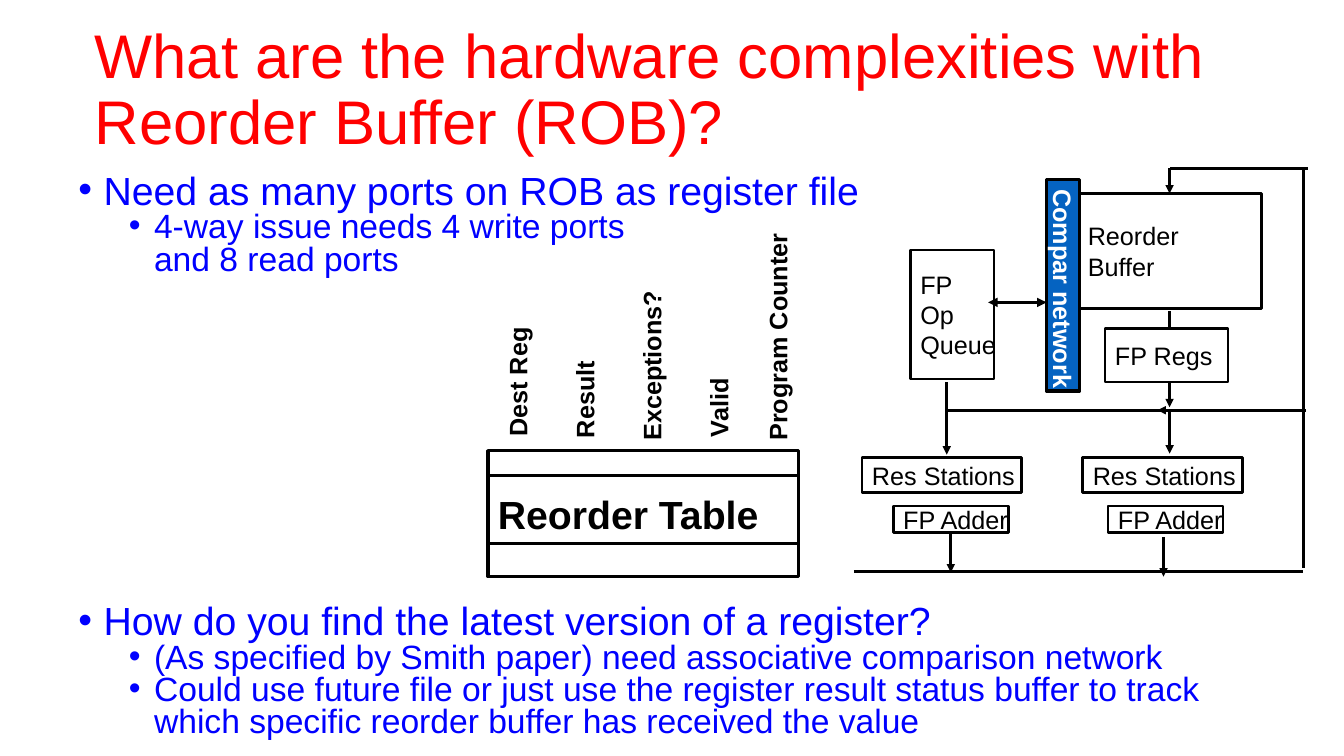
from lxml import etree
from pptx import Presentation
from pptx import util as u
from pptx.dml.color import RGBColor
from pptx.enum import shapes, text
from pptx.oxml import ns

PX = 9144
BLACK, WHITE, RED, BLUE, TEAL = "000000", "FFFFFF", "FF0000", "0000FF", "0563C1"

prs = Presentation()
prs.slide_width, prs.slide_height = 1333 * PX, 750 * PX
s = prs.slides.add_slide(prs.slide_layouts[6])


def box(x, y, w, h, content, size=18, color=BLACK, bold=False, fill=None, weight=0, wrap=False):
    frame = [v * PX for v in (x, y, w, h)]
    if weight:
        sp = s.shapes.add_shape(shapes.MSO_SHAPE.RECTANGLE, *frame)
        sp.shadow.inherit = False
        sp.line.color.rgb = RGBColor.from_string(BLACK)
        sp.line.width = u.Pt(weight)
        if fill:
            sp.fill.solid()
            sp.fill.fore_color.rgb = RGBColor.from_string(fill)
        else:
            sp.fill.background()
    else:
        sp = s.shapes.add_textbox(*frame)
    tf = sp.text_frame
    tf.text = content
    tf.word_wrap = wrap
    tf.vertical_anchor = text.MSO_ANCHOR.MIDDLE
    for p in tf.paragraphs:
        p.alignment = text.PP_ALIGN.LEFT
        for r in p.runs:
            r.font.name, r.font.size, r.font.bold = "Arial", u.Pt(size), bold
            r.font.color.rgb = RGBColor.from_string(color)
    return sp


def line(x1, y1, x2, y2, weight=2, ends=()):
    c = s.shapes.add_connector(shapes.MSO_CONNECTOR.STRAIGHT, x1 * PX, y1 * PX, x2 * PX, y2 * PX)
    c.line.color.rgb = RGBColor.from_string(BLACK)
    c.line.width = u.Pt(weight)
    for end in ends:
        etree.SubElement(c.line._get_or_add_ln(), ns.qn("a:" + end), type="triangle")
    etree.SubElement(c._element.spPr, ns.qn("a:effectLst"))
    return c


title = box(84, 40, 1159, 102, "What are the hardware complexities with Reorder Buffer (ROB)?",
            44, RED, wrap=True)
title.text_frame.paragraphs[0].line_spacing = 0.9

bullets = [
    (169, 120, ["Need as many ports on ROB as register file",
                "4-way issue needs 4 write ports\vand 8 read ports"]),
    (596, 154, ["How do you find the latest version of a register?",
                "(As specified by Smith paper) need associative comparison network",
                "Could use future file or just use the register result status buffer to track "
                "which specific reorder buffer has received the value"]),
]
for y, h, items in bullets:
    tf = box(68, y, 1213, h, "\n".join(items), 24, BLUE, wrap=True).text_frame
    tf.vertical_anchor = text.MSO_ANCHOR.TOP
    for i, p in enumerate(tf.paragraphs):
        p.level = min(i, 1)
        p.line_spacing = 0.8
        pPr = p._p.get_or_add_pPr()
        pPr.set("marL", str((25 + 50 * p.level) * PX))
        pPr.set("indent", str(-25 * PX))
        etree.SubElement(pPr, ns.qn("a:buFont"), typeface="Arial")
        etree.SubElement(pPr, ns.qn("a:buChar"), char="•")
    tf.paragraphs[0].runs[0].font.size = u.Pt(28)

box(484, 447, 308, 125, "Reorder Table", 28, bold=True, weight=2.25)
columns = [("Dest Reg", 448, 358, 130), ("Result", 531, 376, 97), ("Exceptions?", 561, 342, 170),
           ("Valid", 673, 384, 79), ("Program Counter", 657, 313, 228)]
for name, x, y, w in columns:
    box(x, y, w, 40, name, bold=True).rotation = 270
for y in (472, 539):
    line(484, y, 793, y, 2.25)

reorder_buffer = box(1069, 192, 182, 114, "Reorder\nBuffer", fill=WHITE, weight=2)
box(903, 248, 83, 128, "FP\nOp\nQueue", fill=WHITE, weight=2)
adders = [box(x, 502, 114, 26, "FP Adder", fill=WHITE, weight=2) for x in (886, 1099)]
for x in (855, 1074):
    box(x, 454, 158, 35, "Res Stations", fill=WHITE, weight=2)

for ends in [(847, 567, 1292, 567), (1293, 168, 1293, 564), (1297, 167, 1160, 167),
             (940, 407, 1152, 407)]:
    line(*ends)
for ends in [(1154, 533, 1154, 572), (939, 379, 939, 451), (1160, 409, 1160, 450),
             (1160, 309, 1160, 404), (1295, 407, 1148, 407)]:
    line(*ends, ends=["tailEnd"])
line(1160, 167, 1160, 192, ends=["tailEnd"]).end_connect(reorder_buffer, 0)
line(943, 528, 943, 568, ends=["tailEnd"]).begin_connect(adders[0], 2)

box(1096, 326, 122, 53, "FP Regs", fill=WHITE, weight=2)
network = box(1038, 178, 33, 210, "Compar network", color=WHITE, bold=True, fill=TEAL, weight=2.25)
network.text_frame._txBody.bodyPr.set("vert", "eaVert")
line(980, 300, 1038, 300, 2.25, ["headEnd", "tailEnd"])

prs.save("out.pptx")
